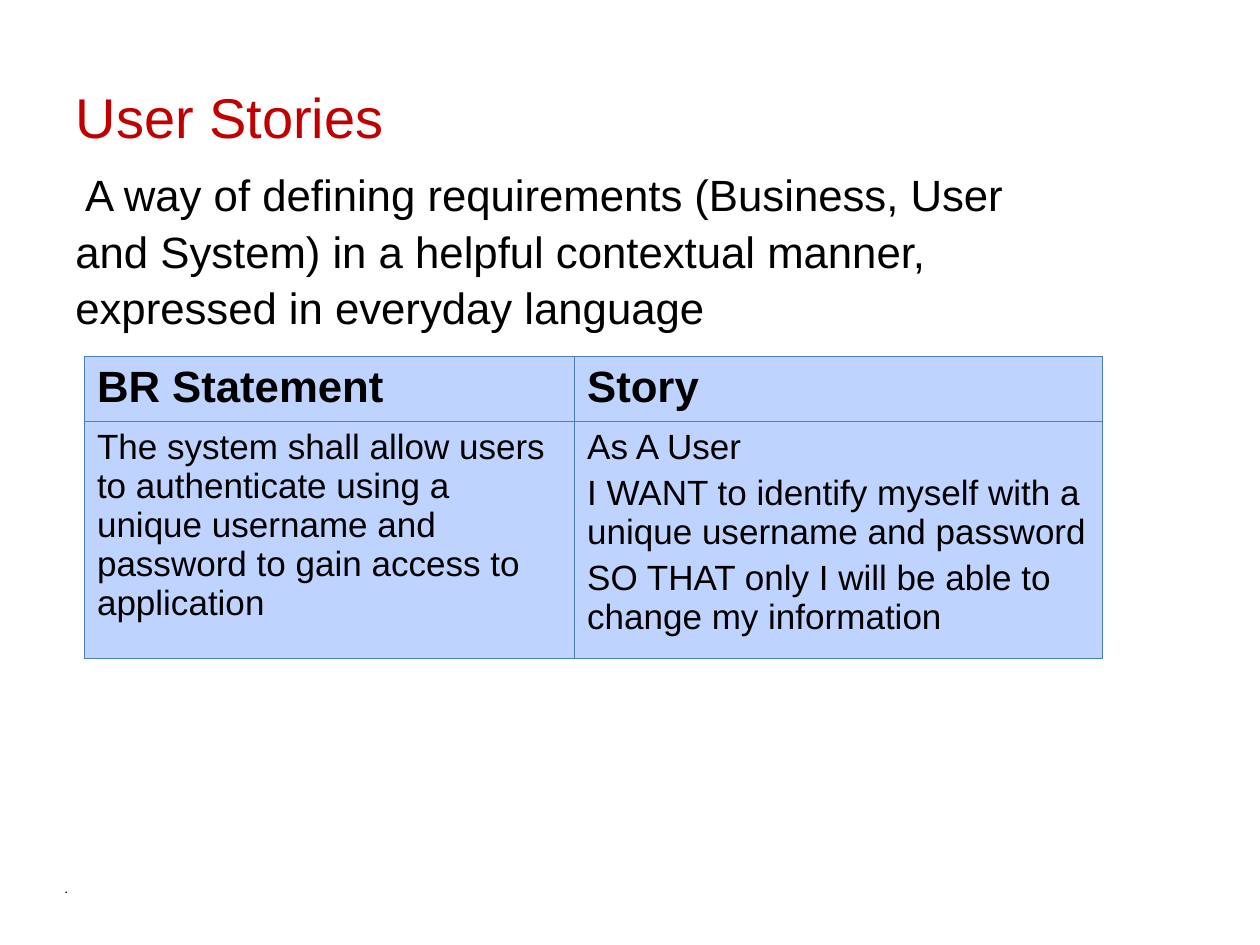
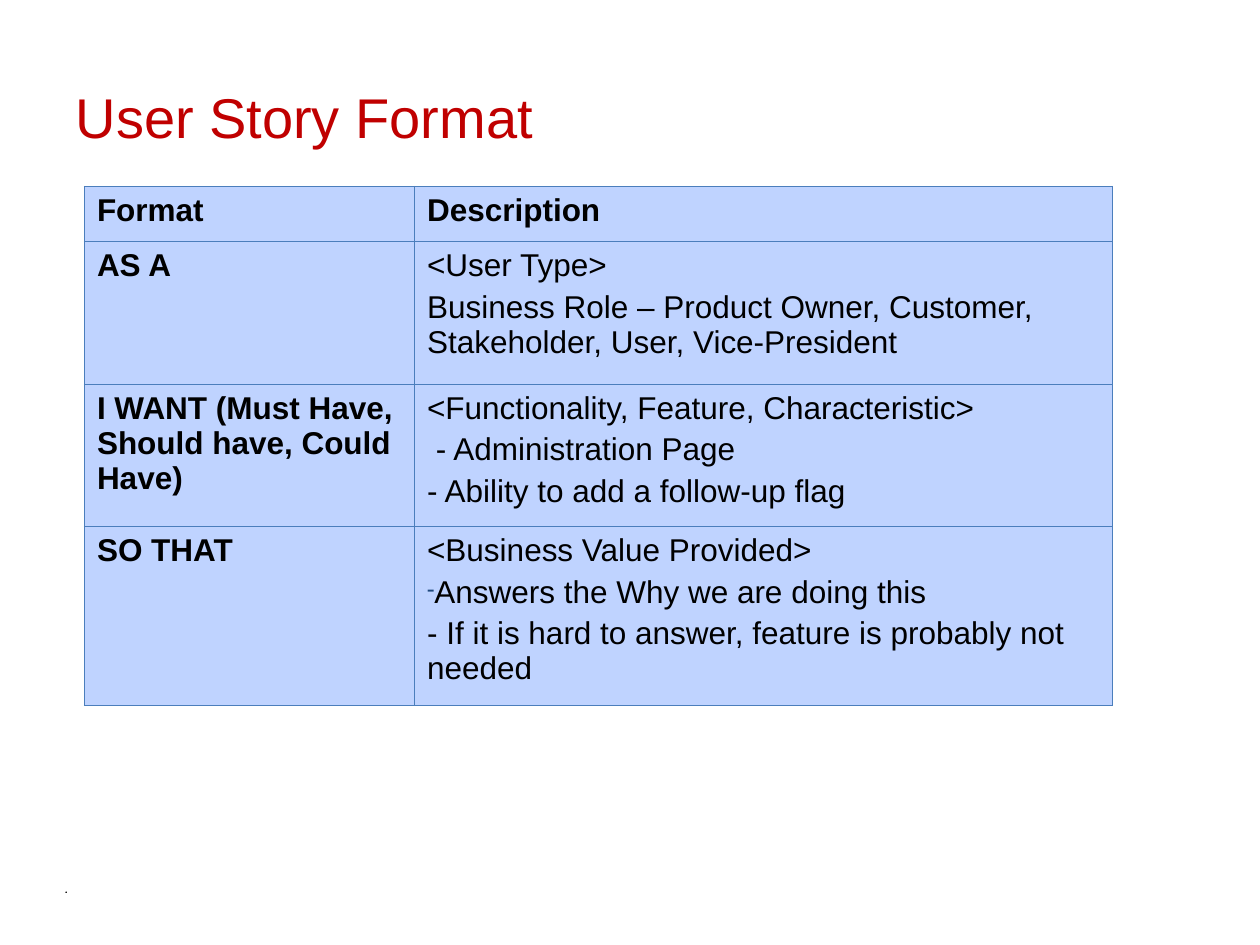
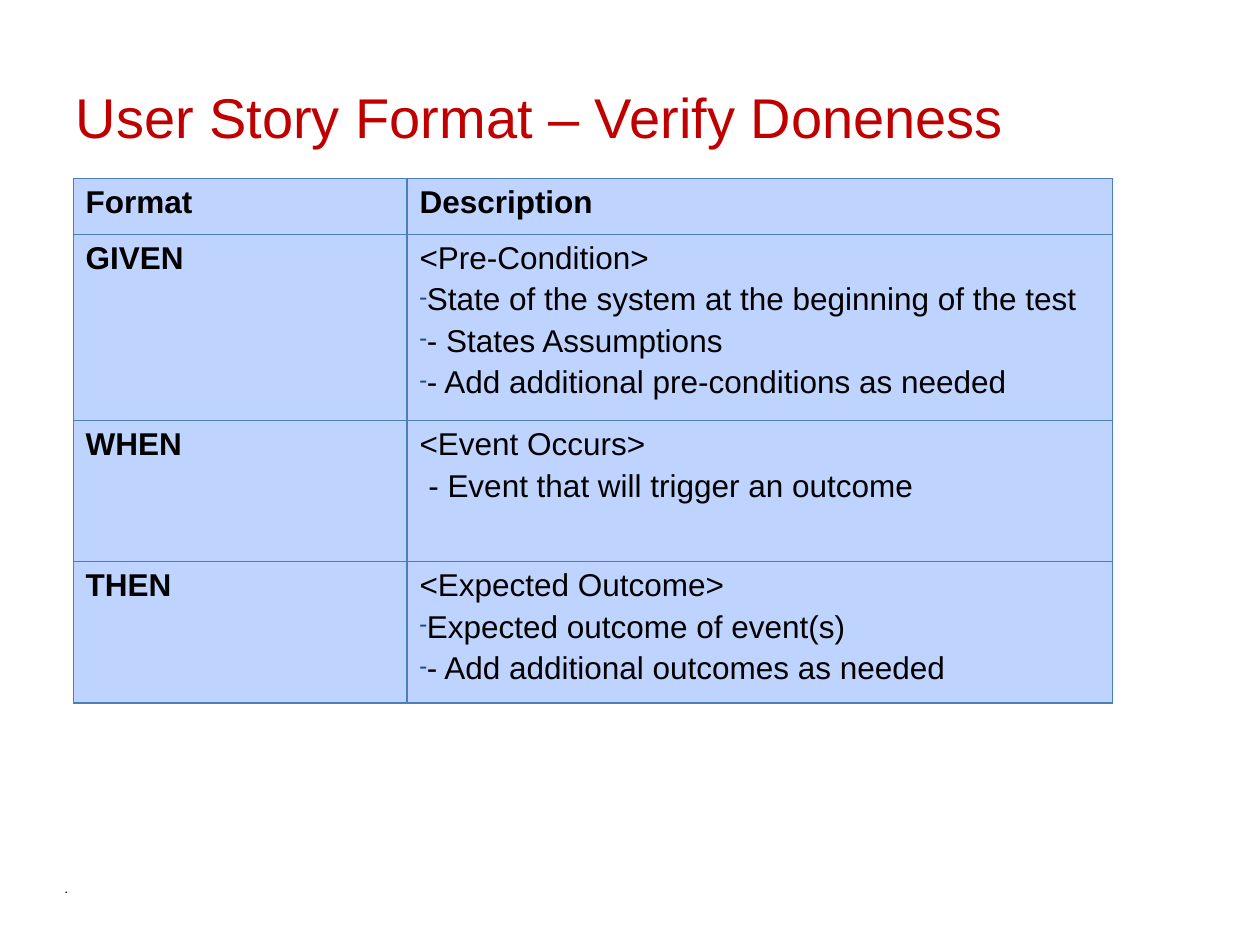
from lxml import etree
from pptx import Presentation
from pptx import util as u
from pptx.dml.color import RGBColor
from pptx.enum import text
from pptx.oxml import parse_xml
from pptx.oxml.ns import nsdecls, qn

TITLE_RED, BLACK, WHITE = "C00000", "000000", "FFFFFF"
CELL_BLUE, BORDER_BLUE, BULLET_BLUE = "BFD3FF", "4B7EBC", "1F497D"
BULLET_MARK = "*"


def color(value):
    return RGBColor.from_string(value)


def write(frame, lines, size, font="Arial", ink=BLACK, bold=False, italic=False,
          before=0, spacing=None):
    frame.word_wrap = True
    for index, line in enumerate(lines):
        para = frame.paragraphs[0] if index == 0 else frame.add_paragraph()
        para.alignment = text.PP_ALIGN.LEFT
        para.space_before = u.Pt(size * before)
        if spacing:
            para.line_spacing = spacing
        if line.startswith(BULLET_MARK):
            props = para._p.get_or_add_pPr()
            props.set("marL", "0")
            props.set("indent", "0")
            tint = etree.SubElement(props, qn("a:buClr"))
            etree.SubElement(tint, qn("a:srgbClr"), val=BULLET_BLUE)
            etree.SubElement(props, qn("a:buSzPct"), val="70000")
            etree.SubElement(props, qn("a:buChar"), char="-")
        span = para.add_run()
        span.text = line.removeprefix(BULLET_MARK)
        span.font.name = font
        span.font.size = u.Pt(size)
        span.font.bold = bold
        span.font.italic = italic
        span.font.color.rgb = color(ink)


pages = [
    {
        "title": "User Stories",
        "intro": " A way of defining requirements (Business, User and System) in a helpful "
                 "contextual manner, expressed in everyday language",
        "corner": (0.67, 2.83), "columns": (3.89, 4.19), "rows": (0.44, 1.12),
        "header_size": 25, "size": 20, "bold_labels": False,
        "cells": [
            (["BR Statement"], ["Story"]),
            (["The system shall allow users to authenticate using a unique username and "
              "password to gain access to application"],
             ["As A User",
              "I WANT to identify myself with a unique username and password",
              "SO THAT only I will be able to change my information"]),
        ],
    },
    {
        "title": "User Story Format",
        "corner": (0.67, 1.48), "columns": (2.62, 5.54), "rows": (0.44, 1.13, 1.13, 1.42),
        "header_size": 18, "size": 18, "bold_labels": True,
        "cells": [
            (["Format"], ["Description"]),
            (["AS A"],
             ["<User Type>",
              "Business Role – Product Owner, Customer, Stakeholder, User, Vice-President"]),
            (["I WANT (Must Have, Should have, Could Have)"],
             ["<Functionality, Feature, Characteristic>",
              " - Administration Page",
              "- Ability to add a follow-up flag"]),
            (["SO THAT"],
             ["<Business Value Provided>",
              "*Answers the Why we are doing this",
              "- If it is hard to answer, feature is probably not needed"]),
        ],
    },
    {
        "title": "User Story Format – Verify Doneness",
        "corner": (0.58, 1.42), "columns": (2.65, 5.6), "rows": (0.44, 1.48, 1.12, 1.12),
        "header_size": 18, "size": 18, "bold_labels": True,
        "cells": [
            (["Format"], ["Description"]),
            (["GIVEN"],
             ["<Pre-Condition>",
              "*State of the system at the beginning of the test",
              "*- States Assumptions",
              "*- Add additional pre-conditions as needed"]),
            (["WHEN"],
             ["<Event Occurs>",
              " - Event that will trigger an outcome"]),
            (["THEN"],
             ["<Expected Outcome>",
              "*Expected outcome of event(s)",
              "*- Add additional outcomes as needed"]),
        ],
    },
]

deck = Presentation()
deck.slide_width, deck.slide_height = u.Inches(10), u.Inches(7.5)
title_only = deck.slide_layouts[5]

for content in pages:
    page = deck.slides.add_slide(title_only)
    page.background.fill.solid()
    page.background.fill.fore_color.rgb = color(WHITE)

    footer = page.shapes.add_textbox(*map(u.Inches, (0.42, 6.92, 8.25, 0.25)))
    write(footer.text_frame, ["."], 9, font="Cabin", italic=True)

    title = page.shapes.title
    title.left, title.top, title.width, title.height = map(u.Inches, (0.5, 0.3, 8, 1.25))
    title.text_frame.auto_size = text.MSO_AUTO_SIZE.NONE
    title.text_frame.vertical_anchor = text.MSO_ANCHOR.MIDDLE
    write(title.text_frame, [content["title"]], 32, ink=TITLE_RED)

    if "intro" in content:
        intro = page.shapes.add_textbox(*map(u.Inches, (0.5, 1.25, 8, 2)))
        write(intro.text_frame, [content["intro"]], 25, before=0.2, spacing=1.08)

    columns, rows = content["columns"], content["rows"]
    extent = (*content["corner"], sum(columns), sum(rows))
    table = page.shapes.add_table(len(rows), len(columns), *map(u.Inches, extent)).table
    for column, width in zip(table.columns, columns):
        column.width = u.Inches(width)
    for row, height in zip(table.rows, rows):
        row.height = u.Inches(height)

    for row_index, row_cells in enumerate(content["cells"]):
        for column_index, lines in enumerate(row_cells):
            cell = table.cell(row_index, column_index)
            for side in ("lnL", "lnR", "lnT", "lnB"):
                cell._tc.get_or_add_tcPr().append(parse_xml(
                    f'<a:{side} {nsdecls("a")} w="{u.Pt(0.75)}"><a:solidFill>'
                    f'<a:srgbClr val="{BORDER_BLUE}"/></a:solidFill></a:{side}>'))
            cell.fill.solid()
            cell.fill.fore_color.rgb = color(CELL_BLUE)
            is_header = row_index == 0
            is_label = column_index == 0 and content["bold_labels"]
            write(cell.text_frame, lines, content["header_size" if is_header else "size"],
                  bold=is_header or is_label, before=0.2)

deck.save("out.pptx")
